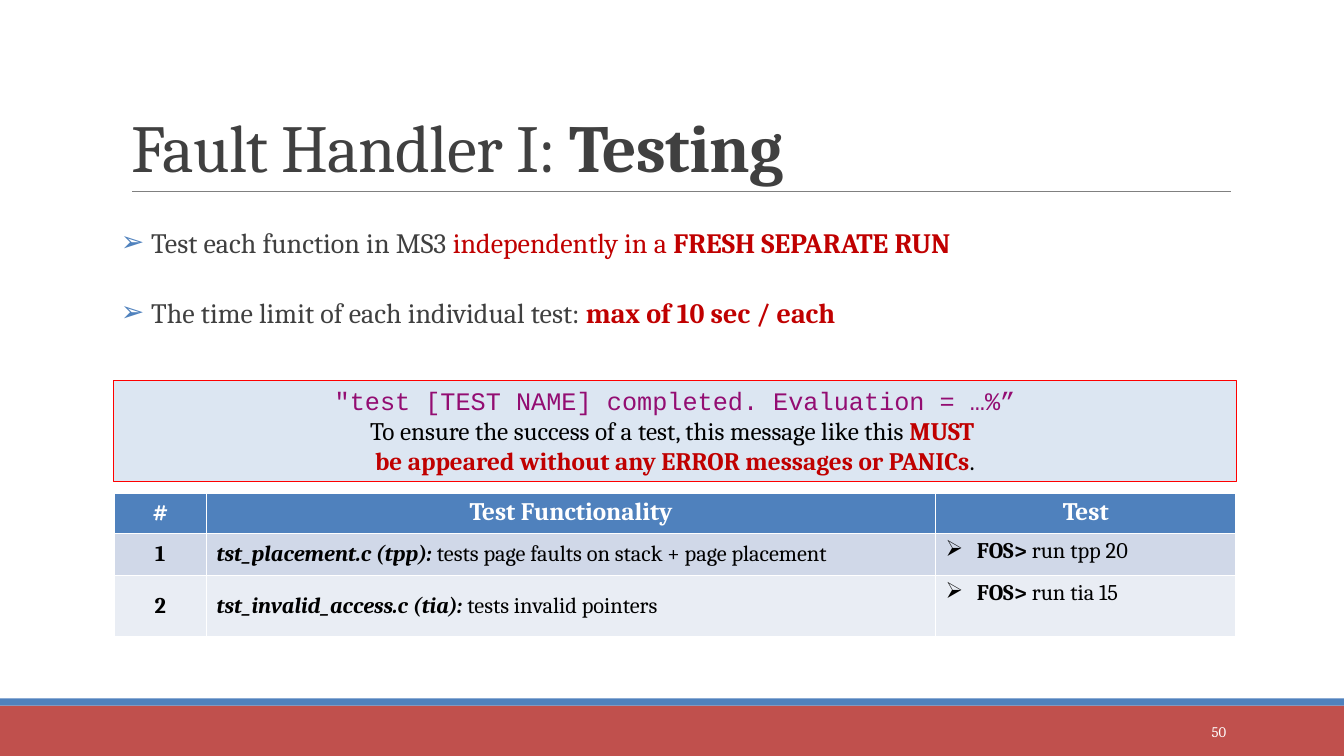
from lxml.etree import SubElement
from pptx import Presentation
from pptx.dml.color import RGBColor
from pptx.enum.shapes import MSO_CONNECTOR, MSO_SHAPE
from pptx.enum.text import MSO_ANCHOR as Anchor, MSO_AUTO_SIZE as AutoSize, PP_ALIGN as Align
from pptx.oxml.ns import qn
from pptx.util import Inches, Pt

WHITE = RGBColor(0xFF, 0xFF, 0xFF)
BLACK = RGBColor(0, 0, 0)
GRAY = RGBColor(0x80, 0x80, 0x80)
DARK = RGBColor(0x40, 0x40, 0x40)
BLUE = RGBColor(0x4F, 0x81, 0xBD)
BRICK = RGBColor(0xC0, 0x50, 0x4D)
CRIMSON = RGBColor(0xC0, 0, 0)
RED = RGBColor(0xFF, 0, 0)
PURPLE = RGBColor(0x93, 0x0D, 0x72)
PALE_BLUE = RGBColor(0xDC, 0xE6, 0xF2)
ROW_FILLS = [BLUE, RGBColor(0xD0, 0xD8, 0xE8), RGBColor(0xE9, 0xED, 0xF4)]

# Each run is a text and the format values that differ from its paragraph.
BOLD = {"bold": True}
BOLD_ITALIC = {"bold": True, "italic": True}
ALERT = {"color": CRIMSON}
BOLD_ALERT = {"color": CRIMSON, "bold": True}

TITLE = [("Fault Handler I: ", {}), ("Testing", BOLD)]
RULES = [
    [("Test each function in MS3 ", {}), ("independently in a ", ALERT),
     ("FRESH SEPARATE RUN", BOLD_ALERT)],
    [("The time limit of each individual test: ", {}),
     ("max of 10 sec / each", BOLD_ALERT)],
]
MESSAGE = [("\"test [TEST NAME] completed. Evaluation = …%”",
            {"name": "Courier New", "color": PURPLE})]
MESSAGE_NOTE = [
    ("To ensure the success of a test, this message like this ", {}),
    ("MUST \nbe appeared without any ERROR messages or PANICs", BOLD_ALERT),
    (".", {}),
]
HEADERS = ["#", "Test Functionality", "Test"]
TESTS = [
    ("1", "tst_placement.c (tpp): ", "tests page faults on stack + page placement", "run tpp 20"),
    ("2", "tst_invalid_access.c (tia): ", "tests invalid pointers", "run tia 15"),
]
PAGE_NUMBER = "50"

COLUMN_WIDTHS = [0.92, 7.23, 2.98]
ROW_HEIGHTS = [0.39, 0.42, 0.61]
PANEL_LEFT, PANEL_WIDTH = 1.13, 11.13


def add_runs(paragraph, runs, size, color):
    """Add formatted runs; a newline in a run becomes a line break."""
    for text, changes in runs:
        values = {"name": "Cambria", "size": Pt(size), "color": color, **changes}
        for index, part in enumerate(text.split("\n")):
            if index:
                paragraph.add_line_break()
            run = paragraph.add_run()
            run.text = part
            for key, value in values.items():
                if key == "color":
                    run.font.color.rgb = value
                else:
                    setattr(run.font, key, value)


def add_bullet(paragraph, indent, color=None):
    properties = paragraph._p.get_or_add_pPr()
    properties.set("marL", str(Inches(indent)))
    properties.set("indent", str(-Inches(indent)))
    if color is not None:
        bullet_color = SubElement(properties, qn("a:buClr"))
        SubElement(bullet_color, qn("a:srgbClr"), val=str(color))
    SubElement(properties, qn("a:buChar"), char="➢")


def place(shape, left, top, width, height):
    shape.left, shape.top = Inches(left), Inches(top)
    shape.width, shape.height = Inches(width), Inches(height)


def add_rectangle(slide, left, top, width, height, fill):
    shape = slide.shapes.add_shape(
        MSO_SHAPE.RECTANGLE, Inches(left), Inches(top), Inches(width), Inches(height))
    shape.shadow.inherit = False
    shape.fill.solid()
    shape.fill.fore_color.rgb = fill
    shape.line.fill.background()
    return shape


def add_footer(slide):
    add_rectangle(slide, 0, 7, 13.33, 0.5, BRICK)
    add_rectangle(slide, 0, 6.93, 13.33, 0.07, BLUE)
    number = slide.shapes.add_textbox(Inches(10.83), Inches(7.06), Inches(1.43), Inches(0.4))
    number.text_frame.word_wrap = True
    number.text_frame.vertical_anchor = Anchor.MIDDLE
    paragraph = number.text_frame.paragraphs[0]
    paragraph.alignment = Align.RIGHT
    add_runs(paragraph, [(PAGE_NUMBER, {})], 10.5, WHITE)


def add_title(slide):
    title = slide.shapes.title
    place(title, 1.2, 0.31, 11, 1.59)
    title.text_frame.vertical_anchor = Anchor.BOTTOM
    title.text_frame.auto_size = AutoSize.NONE
    paragraph = title.text_frame.paragraphs[0]
    paragraph.alignment = Align.LEFT
    paragraph.line_spacing = 0.85
    add_runs(paragraph, TITLE, 48, DARK)
    for run in paragraph.runs:
        run._r.get_or_add_rPr().set("spc", "-50")

    underline = slide.shapes.add_connector(
        MSO_CONNECTOR.STRAIGHT, Inches(1.31), Inches(1.9), Inches(12.21), Inches(1.9))
    underline.line.color.rgb = GRAY
    underline.line.width = Pt(0.5)
    SubElement(underline._element.spPr, qn("a:effectLst"))


def add_rules(slide):
    body = slide.placeholders[1]
    place(body, 1.2, 2.02, 11, 4.4)
    frame = body.text_frame
    frame.auto_size = AutoSize.NONE
    frame.margin_left = frame.margin_right = 0
    for index, runs in enumerate(RULES):
        paragraph = frame.add_paragraph() if index else frame.paragraphs[0]
        paragraph.line_spacing = 1.5
        paragraph.space_before = Pt(12 if index else 0)
        paragraph.space_after = Pt(2)
        add_bullet(paragraph, 0.3, BLUE)
        add_runs(paragraph, runs, 20, DARK)


def add_message(slide):
    box = add_rectangle(slide, PANEL_LEFT, 3.77, PANEL_WIDTH, 1.01, PALE_BLUE)
    box.line.color.rgb = RED
    box.line.width = Pt(0.75)
    frame = box.text_frame
    frame.word_wrap = True
    frame.vertical_anchor = Anchor.TOP
    for index, runs in enumerate([MESSAGE, MESSAGE_NOTE]):
        paragraph = frame.add_paragraph() if index else frame.paragraphs[0]
        paragraph.alignment = Align.CENTER
        add_runs(paragraph, runs, 18, BLACK)


def add_tests(slide):
    rows = [[[(header, BOLD)] for header in HEADERS]]
    for number, source, purpose, command in TESTS:
        rows.append([
            [(number, BOLD)],
            [(source, BOLD_ITALIC), (purpose, {})],
            [("FOS>", BOLD), (" " + command, {})],
        ])
    table = slide.shapes.add_table(
        len(rows), len(HEADERS), Inches(PANEL_LEFT), Inches(4.89),
        Inches(PANEL_WIDTH), Inches(sum(ROW_HEIGHTS))).table
    for column, width in zip(table.columns, COLUMN_WIDTHS):
        column.width = Inches(width)
    for r, (cells, height, fill) in enumerate(zip(rows, ROW_HEIGHTS, ROW_FILLS)):
        table.rows[r].height = Inches(height)
        for c, runs in enumerate(cells):
            cell = table.cell(r, c)
            cell.fill.solid()
            cell.fill.fore_color.rgb = fill
            paragraph = cell.text_frame.paragraphs[0]
            if r == 0 or c == 0:
                paragraph.alignment = Align.CENTER
            if r and c < 2:
                cell.vertical_anchor = Anchor.MIDDLE
            elif r:
                add_bullet(paragraph, 0.31)
            add_runs(paragraph, runs, 16 if r else 18, BLACK if r else WHITE)


def main():
    presentation = Presentation()
    presentation.slide_width, presentation.slide_height = Inches(13.33), Inches(7.5)
    slide = presentation.slides.add_slide(presentation.slide_layouts[1])
    add_footer(slide)
    add_rules(slide)
    add_tests(slide)
    add_title(slide)
    add_message(slide)
    presentation.save("out.pptx")


if __name__ == "__main__":
    main()
